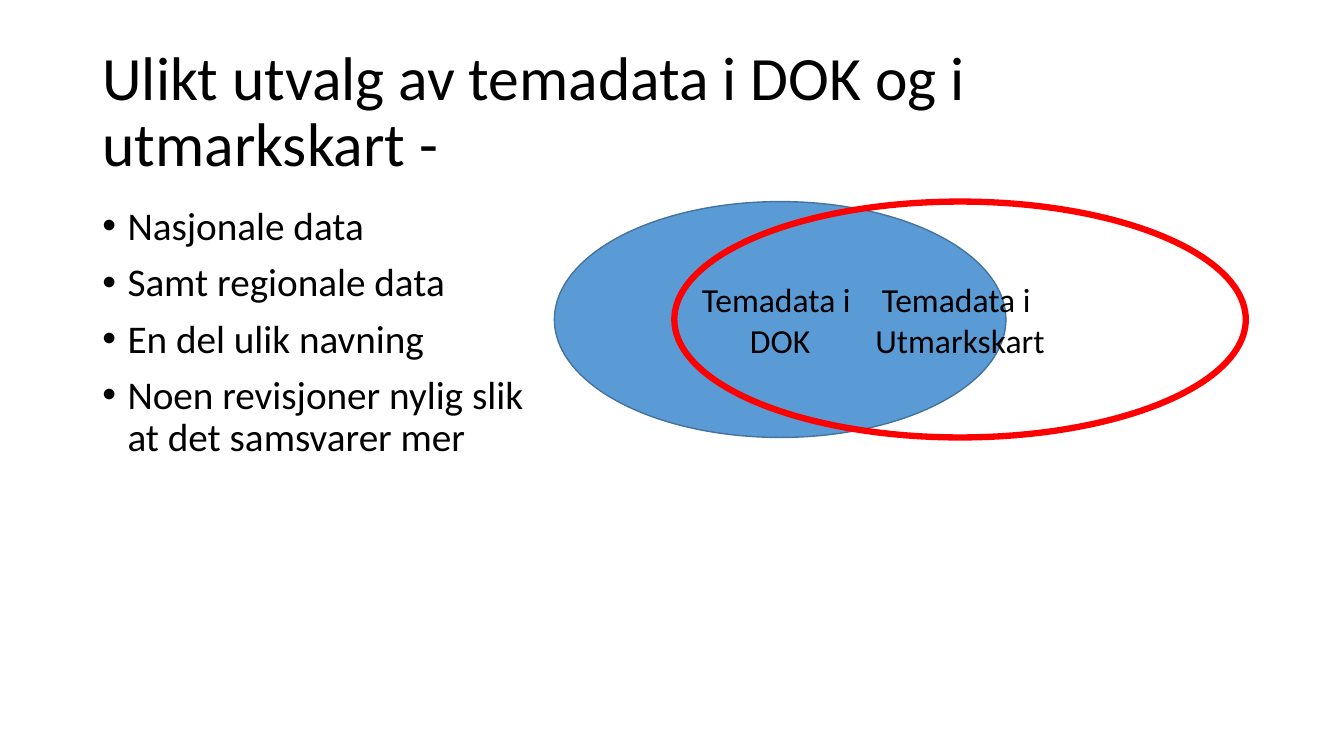
"""Build a slide comparing the theme data in DOK and in Utmarkskart."""
import pptx
import pptx.dml.color
import pptx.enum.shapes
import pptx.enum.text
import pptx.oxml
import pptx.oxml.ns
import pptx.util

Pt = pptx.util.Pt
RGBColor = pptx.dml.color.RGBColor
PP_ALIGN = pptx.enum.text.PP_ALIGN
MSO_ANCHOR = pptx.enum.text.MSO_ANCHOR

BLACK = RGBColor(0x00, 0x00, 0x00)
BLUE = RGBColor(0x5B, 0x9B, 0xD5)
DARK_BLUE = RGBColor(0x43, 0x73, 0x9E)
RED = RGBColor(0xFF, 0x00, 0x00)
FONT = "Calibri"
LEFT_MARGIN = 66
CONTENT_TOP = 144
ELLIPSE_HEIGHT = 168.5
BULLET_INDENT = 18


def write_text(shape, lines, size, align=PP_ALIGN.LEFT, anchor=MSO_ANCHOR.TOP,
               line_spacing=1.0, space_before=0, bulleted=False):
    """Fill a shape with one formatted paragraph per line."""
    frame = shape.text_frame
    frame.word_wrap = True
    frame.auto_size = pptx.enum.text.MSO_AUTO_SIZE.NONE
    frame.vertical_anchor = anchor
    frame.text = "\n".join(lines)
    for paragraph in frame.paragraphs:
        paragraph.alignment = align
        paragraph.line_spacing = line_spacing
        paragraph.space_before = Pt(space_before)
        if bulleted:
            add_bullet(paragraph)
        for run in paragraph.runs:
            run.font.name = FONT
            run.font.size = Pt(size)
            run.font.color.rgb = BLACK


def add_bullet(paragraph):
    """Give a paragraph a round bullet with a hanging indent."""
    properties = paragraph._p.get_or_add_pPr()
    properties.set("marL", str(Pt(BULLET_INDENT)))
    properties.set("indent", str(-Pt(BULLET_INDENT)))
    namespace = pptx.oxml.ns.nsdecls("a")
    for xml in (f'<a:buFont {namespace} typeface="Arial"/>',
                f'<a:buChar {namespace} char="•"/>'):
        properties.append(pptx.oxml.parse_xml(xml))


def format_title(slide, text):
    """Place and fill the title placeholder."""
    title = slide.shapes.title
    title.left, title.top = Pt(LEFT_MARGIN), Pt(28.75)
    title.width, title.height = Pt(828), Pt(104.4)
    write_text(title, [text], 44, anchor=MSO_ANCHOR.MIDDLE, line_spacing=0.9)


def add_bullet_list(slide, lines):
    """Add the bulleted list on the left."""
    box = slide.shapes.add_textbox(Pt(LEFT_MARGIN), Pt(CONTENT_TOP), Pt(320), Pt(342.6))
    write_text(box, lines, 28, line_spacing=0.9, space_before=10, bulleted=True)


def add_ellipse(slide, left, width, lines, line_color, line_width, fill=None):
    """Add one labelled set of the Venn diagram."""
    ellipse = slide.shapes.add_shape(
        pptx.enum.shapes.MSO_SHAPE.OVAL,
        Pt(left), Pt(CONTENT_TOP), Pt(width), Pt(ELLIPSE_HEIGHT))
    ellipse.shadow.inherit = False
    if fill is None:
        ellipse.fill.background()
    else:
        ellipse.fill.solid()
        ellipse.fill.fore_color.rgb = fill
    ellipse.line.color.rgb = line_color
    ellipse.line.width = Pt(line_width)
    write_text(ellipse, lines, 24, align=PP_ALIGN.CENTER, anchor=MSO_ANCHOR.MIDDLE)


def main():
    """Build and save the presentation."""
    presentation = pptx.Presentation()
    presentation.slide_width, presentation.slide_height = Pt(960), Pt(540)
    slide = presentation.slides.add_slide(presentation.slide_layouts[5])
    format_title(slide, "Ulikt utvalg av temadata i DOK og i utmarkskart - ")
    add_bullet_list(slide, [
        "Nasjonale data",
        "Samt regionale data",
        "En del ulik navning",
        "Noen revisjoner nylig slik at det samsvarer mer",
    ])
    add_ellipse(slide, 396, 322.5, ["Temadata i ", "DOK"], DARK_BLUE, 1, fill=BLUE)
    add_ellipse(slide, 481.7, 408.2, ["Temadata i ", "Utmarkskart"], RED, 4.5)
    presentation.save("out.pptx")


main()
